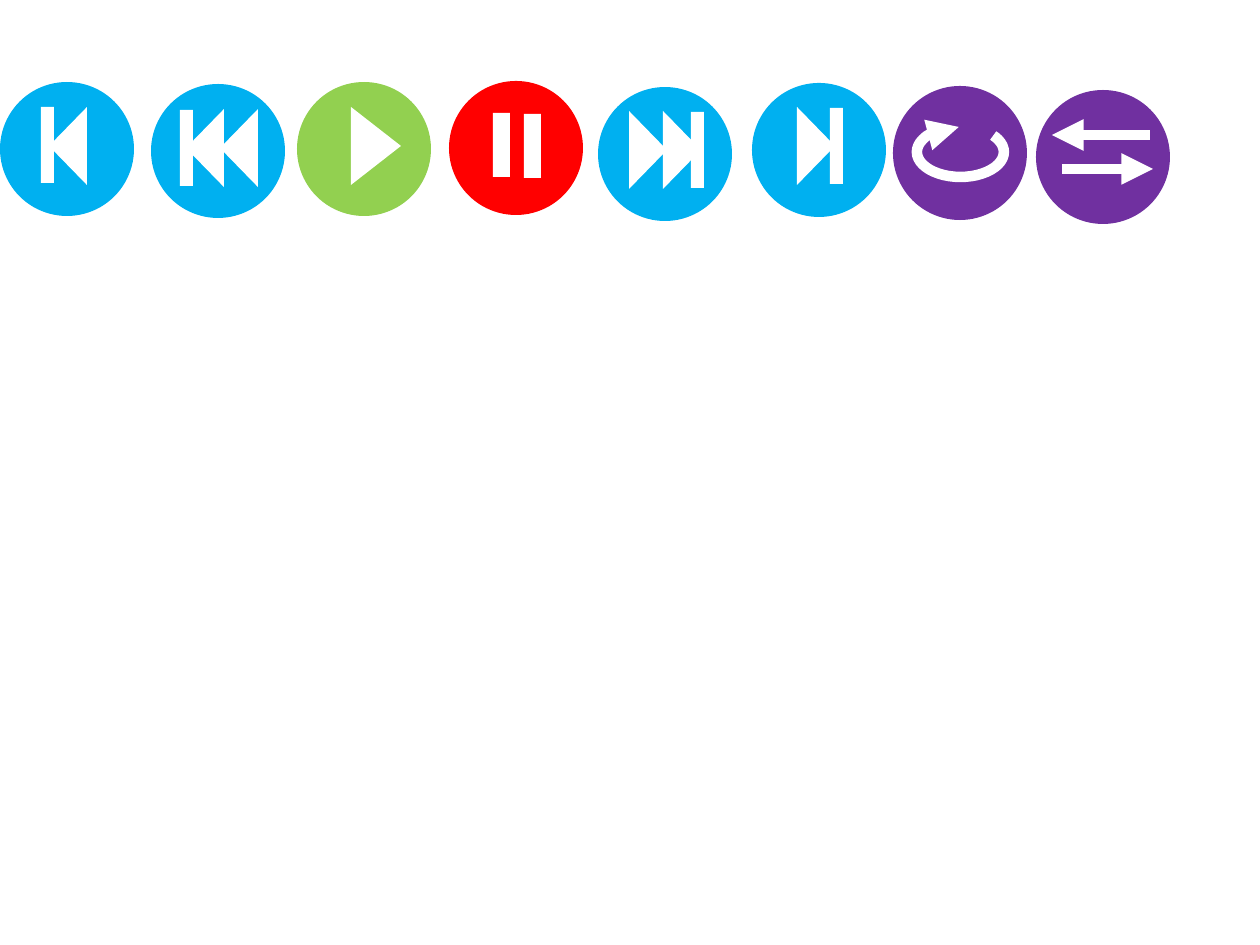
from lxml.etree import SubElement
from pptx import Presentation
from pptx.dml.color import RGBColor
from pptx.enum.shapes import MSO_CONNECTOR as Connector, MSO_SHAPE as Shape
from pptx.oxml.ns import qn
from pptx.util import Emu, Pt

PX = 914400 // 126
WHITE = RGBColor(0xFF, 0xFF, 0xFF)
BLUE = RGBColor(0x00, 0xB0, 0xF0)
GREEN = RGBColor(0x92, 0xD0, 0x50)
RED = RGBColor(0xFF, 0x00, 0x00)
PURPLE = RGBColor(0x70, 0x30, 0xA0)

# Sizes in pixels
DISC = 134
BAR = (13, 76)
PAUSE_BAR = (17, 64)
SKIP = (38, 78)
PLAY = (50, 78)
LEFT, RIGHT = 270, 90

# Buttons: left, top, colour, triangles (left, top, size, direction), bars (left, top, size)
BUTTONS = [
    (0, 82, BLUE, [(49, 107, SKIP, LEFT)], [(41, 107, BAR)]),
    (151, 84, BLUE, [(186, 109, SKIP, LEFT), (220, 109, SKIP, LEFT)], [(180, 110, BAR)]),
    (297, 82, GREEN, [(351, 107, PLAY, RIGHT)], []),
    (449, 81, RED, [], [(493, 113, PAUSE_BAR), (524, 114, PAUSE_BAR)]),
    (598, 87, BLUE, [(629, 111, SKIP, RIGHT), (663, 111, SKIP, RIGHT)], [(691, 112, BAR)]),
    (752, 83, BLUE, [(797, 107, SKIP, RIGHT)], [(830, 108, BAR)]),
    (893, 86, PURPLE, [], []),
    (1036, 90, PURPLE, [], []),
]
REPEAT_ARC = (917, 127, 87, 50)
REPEAT_ANGLES = (200.06, 159.81)
SHUFFLE_ARROWS = [(1150, 135, 1052, 135), (1062, 169, 1153, 169)]


def px(*values):
    return [Emu(round(value * PX)) for value in values]


def add_solid(page, kind, left, top, width, height, color):
    shape = page.shapes.add_shape(kind, *px(left, top, width, height))
    shape.shadow.inherit = False
    shape.fill.solid()
    shape.fill.fore_color.rgb = color
    shape.line.fill.background()
    return shape


def add_triangle(page, left, top, size, direction):
    # The unrotated box shares its centre with the visible one
    width, height = size
    shift = (width - height) / 2
    triangle = add_solid(page, Shape.ISOSCELES_TRIANGLE, left + shift, top - shift,
                         height, width, WHITE)
    triangle.rotation = direction


def style_arrow(line):
    line.color.rgb = WHITE
    line.width = Pt(6)
    SubElement(line._get_or_add_ln(), qn("a:tailEnd"), type="triangle")


deck = Presentation()
deck.slide_width, deck.slide_height = px(1260, 945)
page = deck.slides.add_slide(deck.slide_layouts[6])

# Discs with triangles and bars
for left, top, color, triangles, bars in BUTTONS:
    add_solid(page, Shape.OVAL, left, top, DISC, DISC, color)
    for triangle in triangles:
        add_triangle(page, *triangle)
    for bar_left, bar_top, size in bars:
        add_solid(page, Shape.RECTANGLE, bar_left, bar_top, *size, WHITE)

# Repeat arrow
arc = page.shapes.add_shape(Shape.ARC, *px(*REPEAT_ARC))
arc.shadow.inherit = False
arc.fill.background()
for index, angle in enumerate(REPEAT_ANGLES):
    arc.adjustments[index] = angle
style_arrow(arc.line)

# Shuffle arrows
for ends in SHUFFLE_ARROWS:
    arrow = page.shapes.add_connector(Connector.STRAIGHT, *px(*ends))
    style_arrow(arrow.line)
    SubElement(arrow._element.spPr, qn("a:effectLst"))

deck.save("out.pptx")
